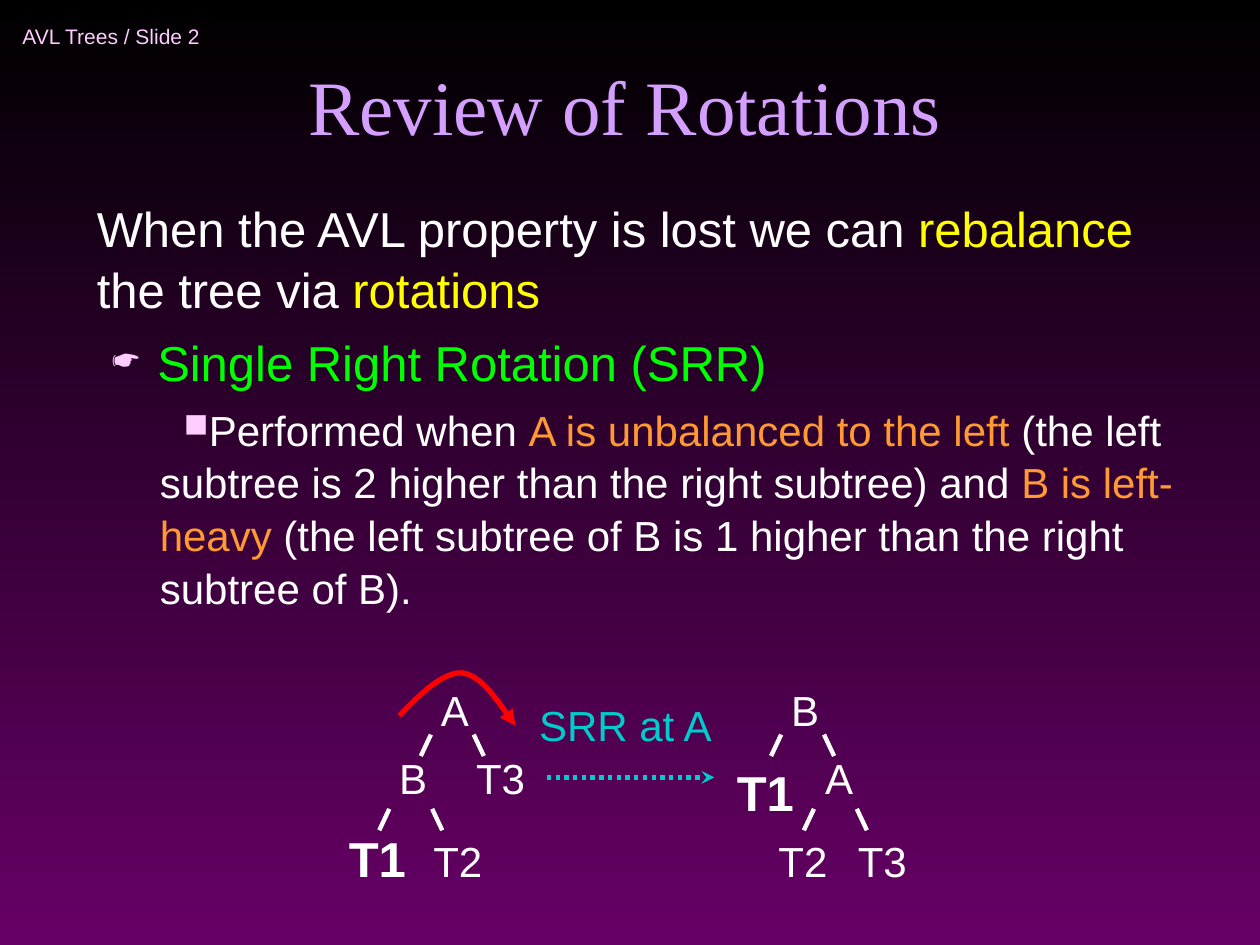
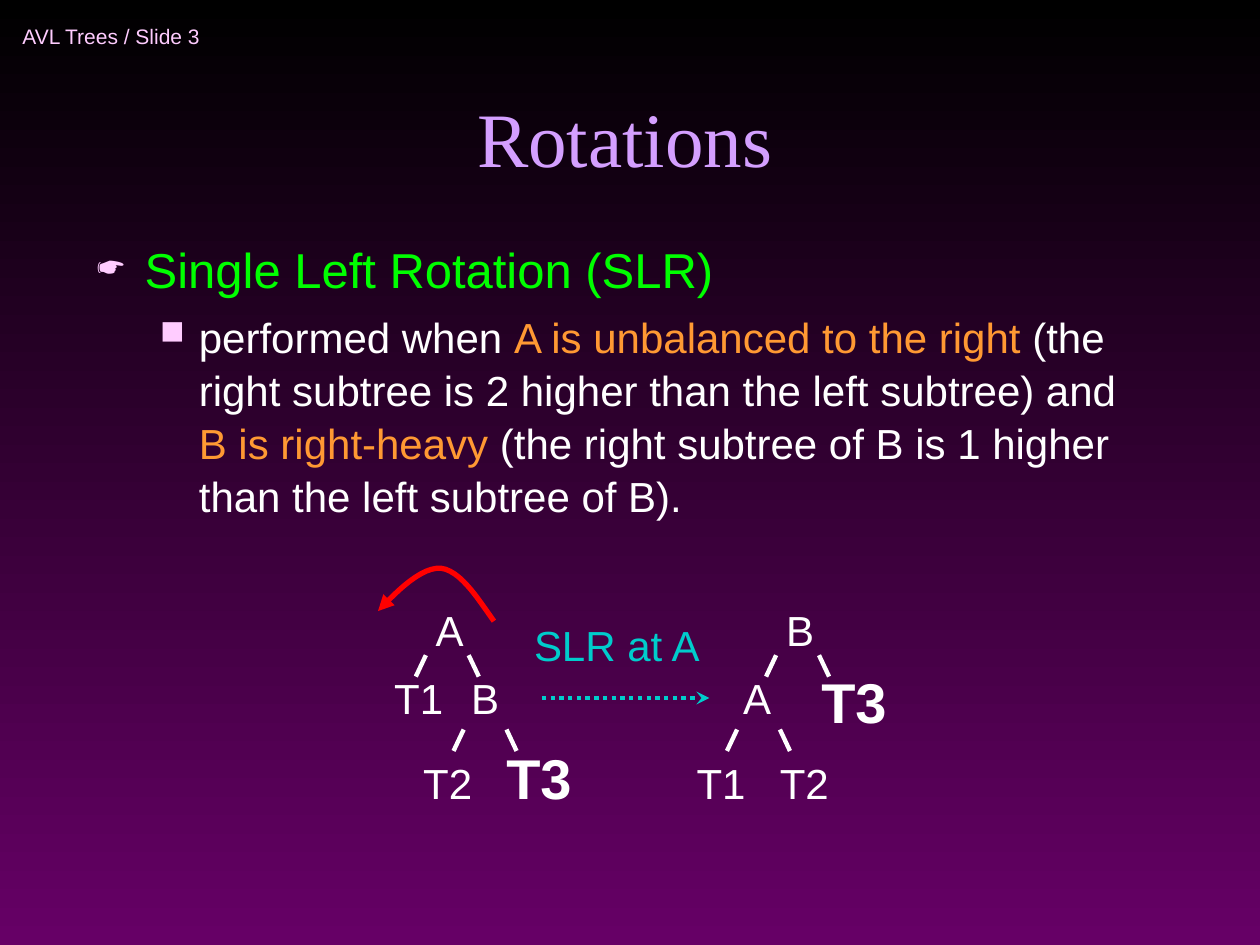
from dataclasses import dataclass
from lxml.etree import SubElement
from pptx import Presentation
from pptx.dml.color import RGBColor
from pptx.enum.dml import MSO_LINE
from pptx.enum.shapes import MSO_CONNECTOR
from pptx.enum.text import MSO_ANCHOR, MSO_AUTO_SIZE, PP_ALIGN
from pptx.oxml.ns import qn
from pptx.util import Inches, Pt

BLACK = RGBColor(0x00, 0x00, 0x00)
PURPLE = RGBColor(0x66, 0x00, 0x66)
LILAC = RGBColor(0xD4, 0x9F, 0xFF)
PINK = RGBColor(0xFF, 0xCC, 0xFF)
WHITE = RGBColor(0xFF, 0xFF, 0xFF)
YELLOW = RGBColor(0xFF, 0xFF, 0x00)
GREEN = RGBColor(0x00, 0xFF, 0x00)
ORANGE = RGBColor(0xFF, 0x99, 0x33)
TEAL = RGBColor(0x00, 0xCC, 0xCC)
RED = RGBColor(0xFF, 0x00, 0x00)

SANS = "Arial"
SERIF = "Times New Roman"
CURVE = [(0.92, 0.43), (0.78, 0.23), (0.65, 0.03), (0.5, 0.01),
         (0.35, 0), (0.17, 0.17), (0, 0.35)]
ROOT_GAP = 2.78
STEPS = 12


@dataclass
class Point:
    x: float
    y: float


@dataclass
class Bullet:
    mark: str
    scale: int
    margin: float
    indent: float


@dataclass
class Para:
    spans: list[tuple[str, RGBColor]]
    size: int
    before: int = 6
    bullet: Bullet | None = None


@dataclass
class Node:
    text: str
    x: float
    y: float
    size: int = 24
    bold: bool = False


@dataclass
class Page:
    number: int
    title: str
    title_top: float
    body_top: float
    body_width: float
    paras: list[Para]
    origin: Point
    caption: str
    caption_width: float
    nodes: list[Node]
    forks: list[float]
    curve: Point
    turn_right: bool


PAGES = [
    Page(
        2, "Review of Rotations", 0, 1.5, 8.83,
        [
            Para([("When the AVL property is lost we can ", WHITE), ("rebalance ", YELLOW),
                  ("the tree via", WHITE), (" rotations", YELLOW)], 28, 7),
            Para([("Single Right Rotation (SRR)", GREEN)], 28, 6, Bullet("☛", 75, 0.48, -0.36)),
            Para([("Performed when ", WHITE), ("A is unbalanced to the left", ORANGE),
                  (" (the left subtree is 2 higher than the right subtree) and ", WHITE),
                  ("B is left-heavy", ORANGE),
                  (" (the left subtree of B is 1 higher than the right subtree of B).", WHITE)],
                 24, 6, Bullet("■", 80, 0.5, 0.19)),
        ],
        Point(3.4, 5.38), "SRR at A", 1.59,
        [
            Node("B", -0.33, 0.54), Node("T3", 0.28, 0.54),
            Node("T1", -0.73, 1.15, 28, True), Node("T2", -0.06, 1.2),
            Node("T1", 2.35, 0.62, 28, True), Node("A", 3.05, 0.54),
            Node("T2", 2.68, 1.2), Node("T3", 3.31, 1.2),
        ],
        [-0.31, 3.06], Point(3.17, 5.33), True,
    ),
    Page(
        3, "Rotations", 0.25, 1.83, 8.58,
        [
            Para([("Single Left Rotation (SLR)", GREEN)], 28, 6, Bullet("☛", 75, 0.38, -0.38)),
            Para([("performed when ", WHITE), ("A is unbalanced to the right", ORANGE),
                  (" (the right subtree is 2 higher than the left subtree) and ", WHITE),
                  ("B is right-heavy", ORANGE),
                  (" (the right subtree of B is 1 higher than the left subtree of B).", WHITE)],
                 24, 6, Bullet("■", 80, 0.81, -0.31)),
        ],
        Point(3.36, 4.75), "SLR at A", 1.53,
        [
            Node("T1", -0.33, 0.54), Node("B", 0.28, 0.54),
            Node("T2", -0.1, 1.21), Node("T3", 0.56, 1.1, 32, True),
            Node("A", 2.44, 0.54), Node("T3", 3.06, 0.5, 32, True),
            Node("T1", 2.07, 1.21), Node("T2", 2.73, 1.21),
        ],
        [0.32, 2.49], Point(3, 4.5), False,
    ),
]


def style(run, size: int, color: RGBColor, face: str = SANS, bold: bool = False) -> None:
    run.font.name = face
    run.font.size = Pt(size)
    run.font.bold = bold
    run.font.color.rgb = color


def label(slide, text: str, x: float, y: float, width: float, height: float,
          size: int, color: RGBColor, bold: bool = False):
    box = slide.shapes.add_textbox(Inches(x), Inches(y), Inches(width), Inches(height))
    frame = box.text_frame
    frame.text = text
    frame.word_wrap = False
    style(frame.paragraphs[0].runs[0], size, color, bold=bold)
    return frame


def tag(slide, node: Node, origin: Point) -> None:
    width = 0.2 + node.size / 72 * (len(node.text) / 2 + 0.17)
    height = 0.1 + node.size / 60
    frame = label(slide, node.text, origin.x + node.x, origin.y + node.y,
                  width, height, node.size, WHITE, node.bold)
    frame.paragraphs[0].space_before = Pt(node.size // 4)


def arrow(shape, kind: str) -> None:
    SubElement(shape.line._get_or_add_ln(), qn("a:tailEnd"), type=kind)


def line(slide, start: Point, end: Point, color: RGBColor):
    link = slide.shapes.add_connector(
        MSO_CONNECTOR.STRAIGHT, Inches(start.x), Inches(start.y), Inches(end.x), Inches(end.y))
    link.line.color.rgb = color
    link.line.width = Pt(2.5)
    SubElement(link._element.spPr, qn("a:effectLst"))
    return link


def fork(slide, x: float, y: float) -> None:
    for left, slant in ((x, -0.08), (x + 0.34, 0.08)):
        line(slide, Point(left, y), Point(left + slant, y + 0.17), WHITE)


def trace() -> list[tuple[float, float]]:
    points = [CURVE[0]]
    for first in range(0, len(CURVE) - 1, 3):
        knots = CURVE[first:first + 4]
        for step in range(1, STEPS + 1):
            t = step / STEPS
            weights = ((1 - t) ** 3, 3 * t * (1 - t) ** 2, 3 * t * t * (1 - t), t ** 3)
            points.append(tuple(sum(w * k[axis] for w, k in zip(weights, knots))
                                for axis in (0, 1)))
    return points


def sweep(slide, place: Point, right: bool) -> None:
    points = [(Inches(place.x + x), Inches(place.y + y)) for x, y in trace()]
    if right:
        points.reverse()
    maker = slide.shapes.build_freeform(*points[0])
    maker.add_line_segments(points[1:], close=False)
    shape = maker.convert_to_shape()
    shape.shadow.inherit = False
    shape.fill.background()
    shape.line.color.rgb = RED
    shape.line.width = Pt(3)
    arrow(shape, "triangle")


def mark(para, bullet: Bullet) -> None:
    props = para._p.get_or_add_pPr()
    props.set("marL", str(Inches(bullet.margin)))
    props.set("indent", str(Inches(bullet.indent)))
    tint = SubElement(props, qn("a:buClr"))
    SubElement(tint, qn("a:srgbClr"), val=str(PINK))
    SubElement(props, qn("a:buSzPct"), val=str(bullet.scale * 1000))
    SubElement(props, qn("a:buChar"), char=bullet.mark)


def head(slide, page: Page) -> None:
    frame = label(slide, f"AVL Trees / Slide {page.number}", 0.08, 0.08, 2.75, 0.42, 12, PINK)
    frame.vertical_anchor = MSO_ANCHOR.MIDDLE
    title = slide.shapes.title
    title.left, title.top = Inches(0.67), Inches(page.title_top)
    title.width, title.height = Inches(8.58), Inches(1.25)
    frame = title.text_frame
    frame.text = page.title
    frame.auto_size = MSO_AUTO_SIZE.NONE
    frame.vertical_anchor = MSO_ANCHOR.BOTTOM
    frame.paragraphs[0].alignment = PP_ALIGN.CENTER
    style(frame.paragraphs[0].runs[0], 44, LILAC, SERIF)


def body(slide, page: Page) -> None:
    box = slide.shapes.add_textbox(
        Inches(0.67), Inches(page.body_top), Inches(page.body_width), Inches(5.25))
    frame = box.text_frame
    frame.word_wrap = True
    for index, item in enumerate(page.paras):
        para = frame.add_paragraph() if index else frame.paragraphs[0]
        para.line_spacing = 1.05
        para.space_before = Pt(item.before)
        if item.bullet:
            mark(para, item.bullet)
        for text, color in item.spans:
            run = para.add_run()
            run.text = text
            style(run, item.size, color)


def trees(slide, page: Page) -> None:
    x, y = page.origin.x, page.origin.y
    for node in [Node("A", 0, 0), Node("B", ROOT_GAP, 0), *page.nodes]:
        tag(slide, node, page.origin)
    for left in (0.02, 0.02 + ROOT_GAP):
        fork(slide, x + left, y + 0.45)
    for left in page.forks:
        fork(slide, x + left, y + 1.04)
    frame = label(slide, page.caption, x + 0.78, y + 0.12, page.caption_width, 0.5, 24, TEAL)
    frame.paragraphs[0].space_before = Pt(6)
    link = line(slide, Point(x + 0.94, y + 0.79), Point(x + 2.27, y + 0.79), TEAL)
    link.line.dash_style = MSO_LINE.ROUND_DOT
    arrow(link, "stealth")
    sweep(slide, page.curve, page.turn_right)


def main() -> None:
    deck = Presentation()
    deck.slide_width, deck.slide_height = Inches(10), Inches(7.5)
    fill = deck.slide_master.background.fill
    fill.gradient()
    fill.gradient_angle = 270
    for stop, color in zip(fill.gradient_stops, (BLACK, PURPLE)):
        stop.color.rgb = color
    for page in PAGES:
        slide = deck.slides.add_slide(deck.slide_layouts[5])
        head(slide, page)
        body(slide, page)
        trees(slide, page)
    deck.save("out.pptx")


if __name__ == "__main__":
    main()
